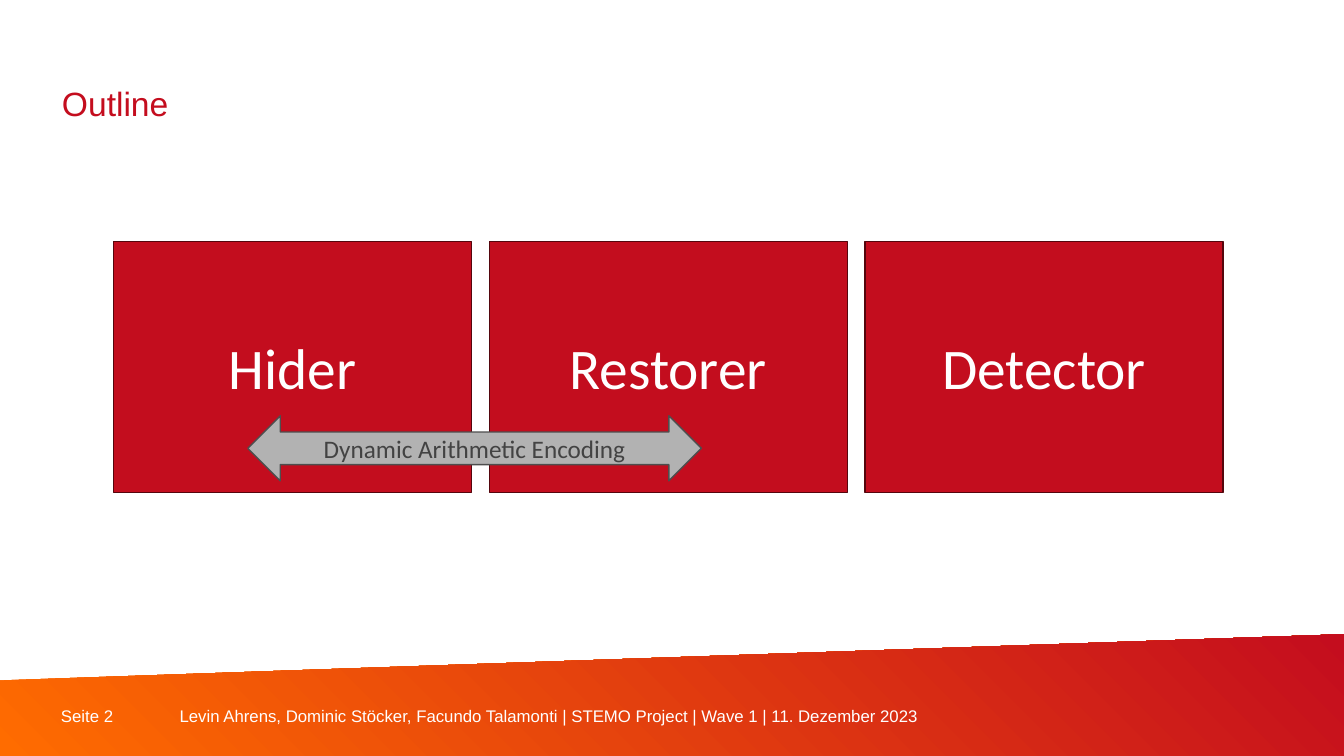
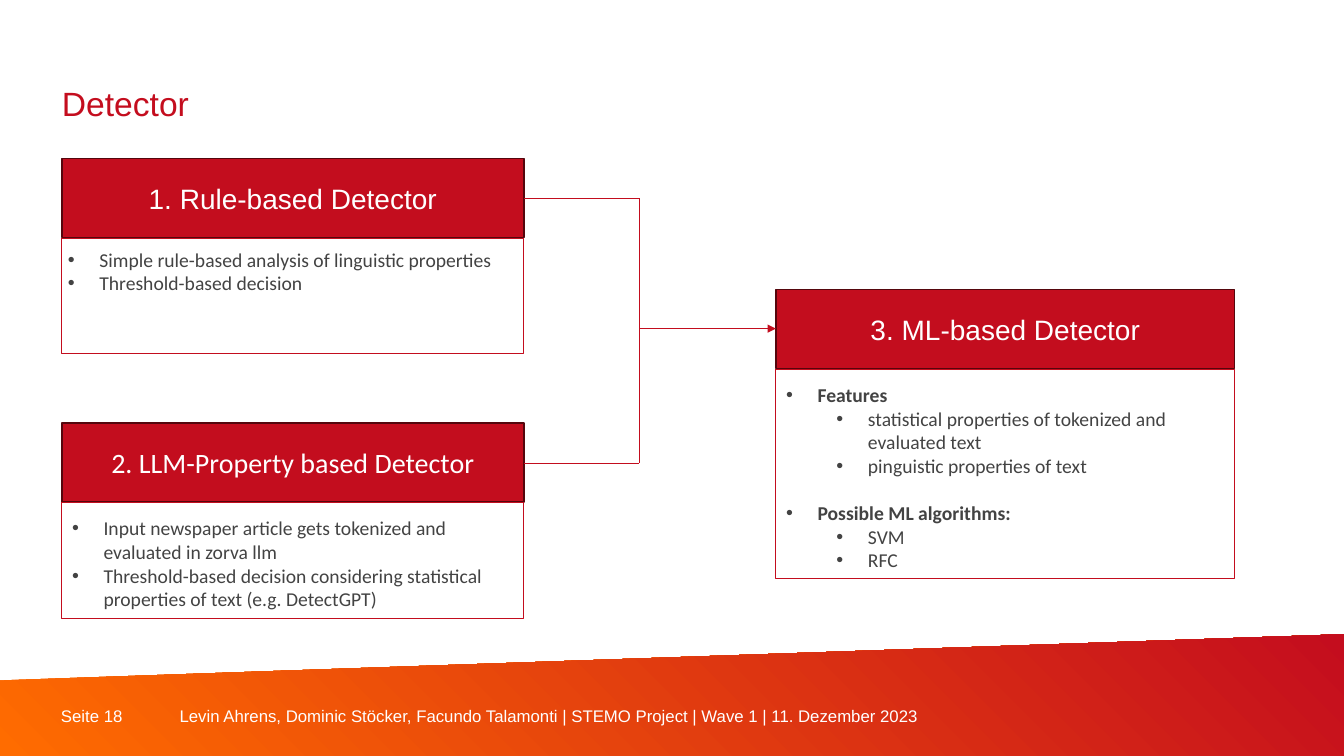
"""Build the outline and detector slides of the STEMO project talk."""
import lxml.etree
import pptx
import pptx.dml.color
import pptx.enum.shapes
import pptx.enum.text
import pptx.oxml.ns
import pptx.util

RGBColor = pptx.dml.color.RGBColor
MSO_SHAPE = pptx.enum.shapes.MSO_SHAPE
ANCHOR = pptx.enum.text.MSO_ANCHOR
ALIGN = pptx.enum.text.PP_ALIGN
Pt = pptx.util.Pt
qn = pptx.oxml.ns.qn

RED = RGBColor(0xC3, 0x0D, 0x1E)
TITLE_RED = RGBColor(0xC4, 0x0D, 0x1E)
DARK_RED = RGBColor(0x55, 0x06, 0x0D)
ORANGE = RGBColor(0xFF, 0x6C, 0x00)
WHITE = RGBColor(0xFF, 0xFF, 0xFF)
SILVER = RGBColor(0xB2, 0xB2, 0xB2)
GRAY = RGBColor(0x4E, 0x4E, 0x4E)
TEXT_GRAY = RGBColor(0x43, 0x43, 0x43)

EMU_PER_PX = 9525
WIDTH, HEIGHT = 1280, 720
COMPARISON, TITLE_ONLY = 4, 5
HEADER_H = 75
FOOTER = ("Levin Ahrens, Dominic Stöcker, Facundo Talamonti | STEMO Project"
          " | Wave 1 | 11. Dezember 2023")


def px(*lengths):
    return [pptx.util.Emu(n * EMU_PER_PX) for n in lengths]


def place(sp, x, y, w, h):
    sp.left, sp.top, sp.width, sp.height = px(x, y, w, h)


def write(tf, text, size=14, font="Calibri", color=TEXT_GRAY, bold=False,
          align=ALIGN.LEFT, before=0, line=None):
    p = tf.paragraphs[0]
    if p.runs:
        p = tf.add_paragraph()
    p.alignment = align
    p.space_before = Pt(before)
    if line:
        p.line_spacing = Pt(line)
    r = p.add_run()
    r.text = text
    r.font.size, r.font.name, r.font.bold = Pt(size), font, bold
    r.font.color.rgb = color
    return p


def setup_frame(tf, anchor, inset=None):
    tf.word_wrap = True
    tf.auto_size = pptx.enum.text.MSO_AUTO_SIZE.NONE
    tf.vertical_anchor = anchor
    if inset is not None:
        tf.margin_left = tf.margin_right = inset
        tf.margin_top = tf.margin_bottom = inset


def add_label(slide, text, *box):
    tf = slide.shapes.add_textbox(*px(*box)).text_frame
    setup_frame(tf, ANCHOR.MIDDLE, 0)
    write(tf, text, size=12, font="Arial", color=WHITE)


def add_band(slide):
    builder = slide.shapes.build_freeform(0, 648, scale=EMU_PER_PX)
    builder.add_line_segments([(WIDTH, 604), (WIDTH, HEIGHT), (0, HEIGHT)])
    sp = builder.convert_to_shape()
    sp.shadow.inherit = False
    sp.line.fill.background()
    sp.fill.gradient()
    sp.fill.gradient_angle = 45
    for stop, color in zip(sp.fill.gradient_stops, (ORANGE, TITLE_RED)):
        stop.color.rgb = color


def add_slide(prs, layout, title, number):
    slide = prs.slides.add_slide(prs.slide_layouts[layout])
    add_band(slide)
    add_label(slide, f"Seite {number}", 58, 672, 113, 20)
    add_label(slide, FOOTER, 171, 672, 800, 19)
    sp = slide.shapes.title
    place(sp, 59, 42, 873, 75)
    setup_frame(sp.text_frame, ANCHOR.BOTTOM, 0)
    write(sp.text_frame, title, size=24, font="Arial", color=TITLE_RED, line=28)
    return slide


def add_box(slide, box, text="", kind=MSO_SHAPE.RECTANGLE, fill=RED,
            line=DARK_RED, line_width=1, color=WHITE, **fmt):
    sp = slide.shapes.add_shape(kind, *px(*box))
    sp.shadow.inherit = False
    if fill is None:
        sp.fill.background()
    else:
        sp.fill.solid()
        sp.fill.fore_color.rgb = fill
    sp.line.color.rgb = line
    sp.line.width = Pt(line_width)
    if text:
        setup_frame(sp.text_frame, ANCHOR.MIDDLE)
        write(sp.text_frame, text, color=color, align=ALIGN.CENTER, **fmt)


def add_line(slide, start, end, arrow=False):
    kind = pptx.enum.shapes.MSO_CONNECTOR.STRAIGHT
    c = slide.shapes.add_connector(kind, *px(*start, *end))
    c.line.color.rgb = RED
    c.line.width = Pt(0.5)
    spPr = c._element.spPr
    if arrow:
        lxml.etree.SubElement(spPr.find(qn("a:ln")), qn("a:tailEnd"), type="triangle")
    lxml.etree.SubElement(spPr, qn("a:effectLst"))


def add_bullet(p, level):
    indent = 30 * EMU_PER_PX
    p.level = level
    pPr = p._p.get_or_add_pPr()
    pPr.set("marL", str(indent + level * 48 * EMU_PER_PX))
    pPr.set("indent", str(-indent))
    lxml.etree.SubElement(pPr, qn("a:buFont"), typeface="Arial")
    lxml.etree.SubElement(pPr, qn("a:buChar"), char="•")


def fill_list(sp, box, items):
    place(sp, *box)
    setup_frame(sp.text_frame, ANCHOR.TOP)
    for text, level, fmt in items:
        add_bullet(write(sp.text_frame, text, **fmt), level)


def add_detector(slide, title, font, x, y, w, frame_h):
    add_box(slide, (x, y, w, HEADER_H), title, size=20, font=font)
    add_box(slide, (x, y + HEADER_H + 1, w, frame_h), fill=None, line=RED,
            line_width=0.75)


def build_outline(prs):
    slide = add_slide(prs, TITLE_ONLY, "Outline", 2)
    for i, name in enumerate(("Hider", "Restorer", "Detector")):
        add_box(slide, (108 + i * 358, 230, 341, 239), name, size=41)
    add_box(slide, (236, 396, 432, 62), "Dynamic Arithmetic Encoding",
            kind=MSO_SHAPE.LEFT_RIGHT_ARROW, fill=SILVER, line=GRAY,
            color=TEXT_GRAY, size=18)


def build_detector(prs):
    slide = add_slide(prs, COMPARISON, "Detector", 18)
    for detector in (
            ("1. Rule-based Detector", "Arial", 59, 151, 440, 110),
            ("2. LLM-Property based Detector", "Calibri", 59, 403, 440, 110),
            ("3. ML-based Detector", "Arial", 739, 276, 437, 199)):
        add_detector(slide, *detector)

    joint, rule_y, llm_y, ml_y = 609, 189, 441, 313
    add_line(slide, (joint, ml_y), (739, ml_y), arrow=True)
    for y in (rule_y, llm_y):
        add_line(slide, (499, y), (joint, y))
    add_line(slide, (joint, rule_y), (joint, llm_y))

    lists = {
        1: ((55, 231, 444, 55), [
            ("Simple rule-based analysis of linguistic properties", 0, {}),
            ("Threshold-based decision", 0, {})]),
        2: ((59, 487, 444, 100), [
            ("Input newspaper article gets tokenized and evaluated in zorva llm", 0, {}),
            ("Threshold-based decision considering statistical properties of text"
             " (e.g. DetectGPT)", 0, {})]),
        4: ((739, 360, 444, 191), [
            ("Features", 0, {"bold": True}),
            ("statistical properties of tokenized and evaluated text", 1, {}),
            ("pinguistic properties of text", 1, {}),
            ("Possible ML algorithms:", 0, {"bold": True, "before": 17}),
            ("SVM", 1, {}),
            ("RFC", 1, {})]),
    }
    for sp in list(slide.placeholders):
        idx = sp.placeholder_format.idx
        if idx in lists:
            fill_list(sp, *lists[idx])
        elif idx:
            sp.element.getparent().remove(sp.element)


def main():
    prs = pptx.Presentation()
    prs.slide_width, prs.slide_height = px(WIDTH, HEIGHT)
    build_outline(prs)
    build_detector(prs)
    prs.save("out.pptx")


if __name__ == "__main__":
    main()
